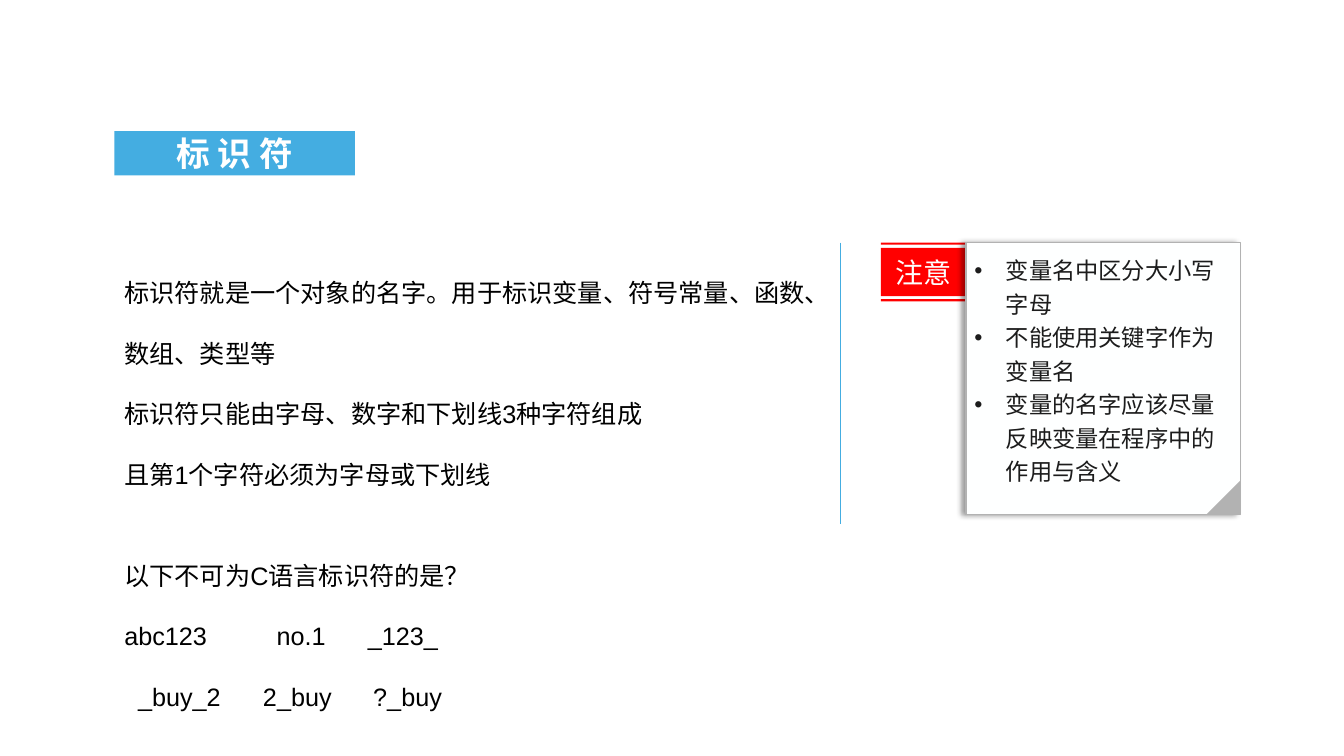
from dataclasses import dataclass

import lxml.etree
import pptx
import pptx.dml.color
import pptx.enum.shapes
import pptx.enum.text
import pptx.oxml
import pptx.oxml.ns
import pptx.util

PX = 9525  # EMU in one px, 96 px to the inch
HAN = "Noto Sans CJK SC"
BLUE, RED, GREY, PAPER = "44ADE1", "FF0000", "B2B2B2", "FEFFFF"
ALIGN = pptx.enum.text.PP_ALIGN
ANCHOR = pptx.enum.text.MSO_ANCHOR
FIT = pptx.enum.text.MSO_AUTO_SIZE
SHAPE = pptx.enum.shapes.MSO_SHAPE


@dataclass(frozen=True)
class Box:
    left: int
    top: int
    width: int
    height: int

    def emu(self) -> list[int]:
        return [v * PX for v in (self.left, self.top, self.width, self.height)]


@dataclass(frozen=True)
class Line:
    text: str
    tabs: tuple[int, ...] = ()


@dataclass(frozen=True)
class Block:
    box: Box
    lines: tuple[Line, ...]


@dataclass(frozen=True)
class Band:
    top: int
    foot: int


TITLE = Box(109, 125, 229, 42)
CARD = Box(920, 231, 261, 259)
FOLD = Box(1149, 458, 32, 32)
FLAG_X = (839, 920)
BANDS = (Band(285, 287), Band(236, 282), Band(231, 233))
BLOCKS = (
    Block(Box(109, 231, 677, 233), (
        Line("标识符就是一个对象的名字。用于标识变量、符号常量、函数、数组、类型等"),
        Line("标识符只能由字母、数字和下划线3种字符组成"),
        Line("且第1个字符必须为字母或下划线"),
    )),
    Block(Box(109, 500, 640, 175), (
        Line("以下不可为C语言标识符的是？"),
        Line("abc123\tno.1\t_123_", (145, 232)),
        Line("\t_buy_2\t2_buy\t?_buy", (13, 132, 237)),
    )),
)
NOTES = (
    Line("变量名中区分大小写字母"),
    Line("不能使用关键字作为变量名"),
    Line("变量的名字应该尽量反映变量在程序中的作用与含义"),
)


def rgb(code: str) -> pptx.dml.color.RGBColor:
    return pptx.dml.color.RGBColor.from_string(code)


def node(host, tag: str, **attrs):
    item = lxml.etree.SubElement(host, pptx.oxml.ns.qn(tag))
    for key, value in attrs.items():
        item.set(key, str(value))
    return item


def paint(shape, color: str, edge: str = "") -> None:
    shape.fill.solid()
    shape.fill.fore_color.rgb = rgb(color)
    if edge:
        shape.line.color.rgb = rgb(edge)
        shape.line.width = pptx.util.Pt(0.75)
    else:
        shape.line.fill.background()


def place(shape, box: Box) -> None:
    shape.left, shape.top, shape.width, shape.height = box.emu()


def write(shape, lines: tuple[Line, ...], *, size: float, color: str = "000000",
          font: str = "Arial", bold: bool = False, align=ALIGN.LEFT,
          anchor=ANCHOR.TOP, space: float = 1.0, inset: int | None = None,
          hang: int = 0, fit=FIT.NONE) -> None:
    frame = shape.text_frame
    frame.word_wrap = True
    frame.auto_size = fit
    frame.vertical_anchor = anchor
    if inset is not None:
        frame.margin_left = frame.margin_right = inset * PX
        frame.margin_top = frame.margin_bottom = inset * PX
    for i, line in enumerate(lines):
        para = frame.add_paragraph() if i else frame.paragraphs[0]
        props = para._p.get_or_add_pPr()
        if hang:
            props.set("marL", str(hang * PX))
            props.set("indent", str(-hang * PX))
            node(props, "a:buFont", typeface="Arial")
            node(props, "a:buChar", char="•")
        if line.tabs:
            stops = node(props, "a:tabLst")
            for stop in line.tabs:
                node(stops, "a:tab", pos=stop * PX, algn="l")
        para.alignment = align
        para.line_spacing = space
        para.space_before = pptx.util.Pt(0)
        run = para.add_run()
        run.text = line.text
        run.font.size = pptx.util.Pt(size)
        run.font.bold = bold
        run.font.color.rgb = rgb(color)
        run.font.name = font
        mark = run.font._element
        mark.set("lang", "zh-CN")
        node(mark, "a:ea", typeface=HAN)


def shade(shape) -> None:
    """Cast a soft shadow to the left."""
    effects = node(shape.element.spPr, "a:effectLst")
    cast = node(effects, "a:outerShdw", blurRad=50800, dist=38100,
                dir=10800000, algn="r", rotWithShape=0)
    node(node(cast, "a:srgbClr", val="000000"), "a:alpha", val=40000)


def rule(slide, x: int, top: int, foot: int) -> None:
    line = slide.shapes.add_connector(
        pptx.enum.shapes.MSO_CONNECTOR.STRAIGHT, x * PX, top * PX, x * PX, foot * PX)
    line.line.color.rgb = rgb(BLUE)
    line.line.width = pptx.util.Pt(0.5)
    node(line.element.spPr, "a:effectLst")


def flag(slide):
    left, right = FLAG_X
    pen = slide.shapes.build_freeform(left, BANDS[0].foot, scale=PX)
    for band in BANDS:
        pen.move_to(left, band.foot)
        pen.add_line_segments(
            [(right, band.foot), (right, band.top), (left, band.top)], close=True)
    shape = pen.convert_to_shape()
    shape.shadow.inherit = False
    paint(shape, RED)
    write(shape, (Line("注意"),), size=20, color=PAPER,
          align=ALIGN.CENTER, anchor=ANCHOR.MIDDLE)
    return shape


def main() -> None:
    deck = pptx.Presentation()
    deck.slide_width, deck.slide_height = 1280 * PX, 720 * PX
    slide = deck.slides.add_slide(deck.slide_layouts[1])

    title, card = slide.placeholders
    place(title, TITLE)
    paint(title, BLUE)
    write(title, (Line("标 识 符"),), size=24, color="FFFFFF", font=HAN, bold=True,
          align=ALIGN.CENTER, anchor=ANCHOR.MIDDLE, inset=0)

    place(card, CARD)
    paint(card, PAPER, GREY)
    shade(card)
    write(card, NOTES, size=16.6, color="1C1C1C", space=1.2, inset=8, hang=30)
    card.element.addprevious(flag(slide).element)

    fold = slide.shapes.add_shape(SHAPE.RIGHT_TRIANGLE, *FOLD.emu())
    fold.rotation = 270
    fold.shadow.inherit = False
    paint(fold, GREY)

    rule(slide, 800, 231, 499)
    for block in BLOCKS:
        text = slide.shapes.add_textbox(*block.box.emu())
        write(text, block.lines, size=18, space=2.0, fit=FIT.SHAPE_TO_FIT_TEXT)

    deck.save("out.pptx")


if __name__ == "__main__":
    main()
